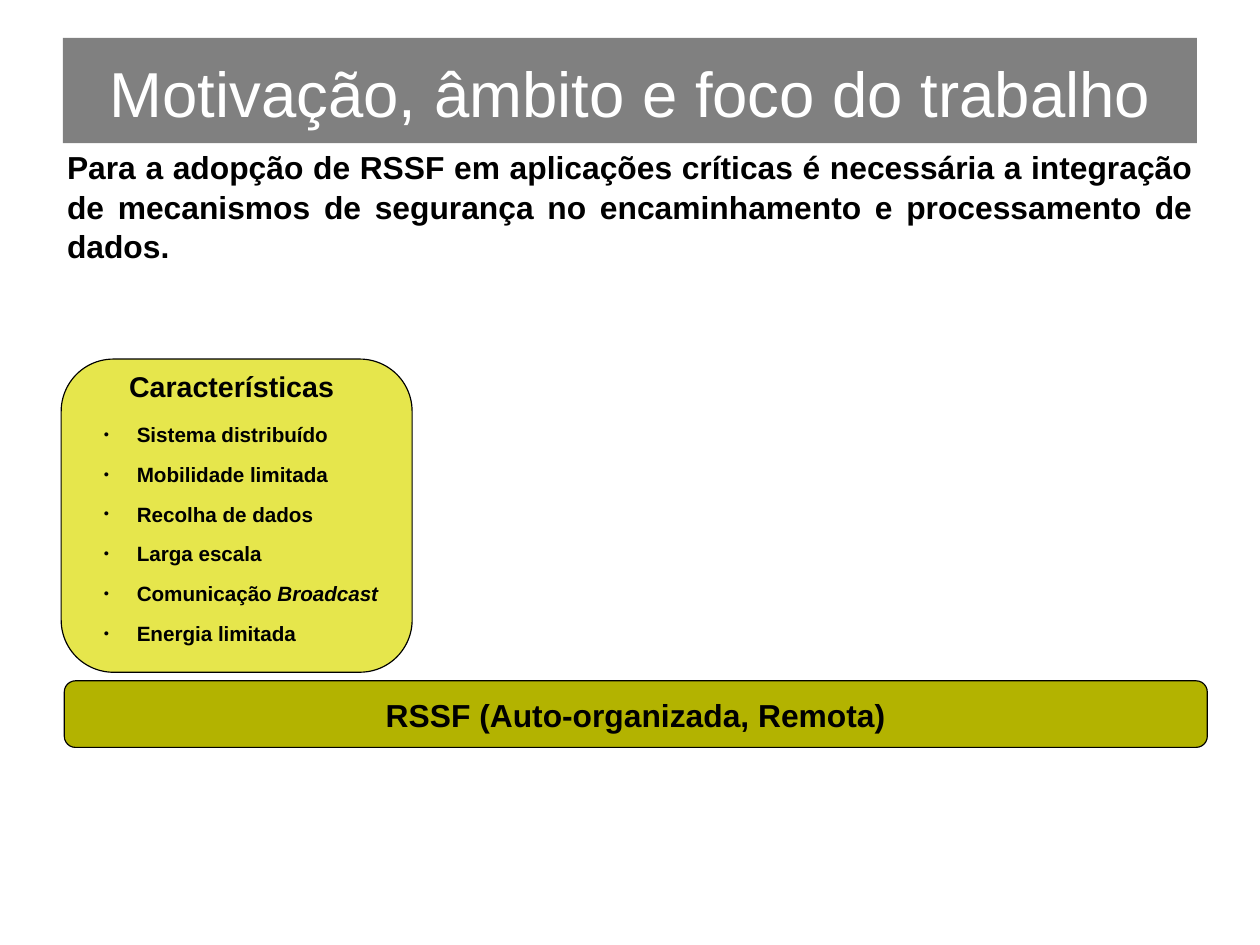
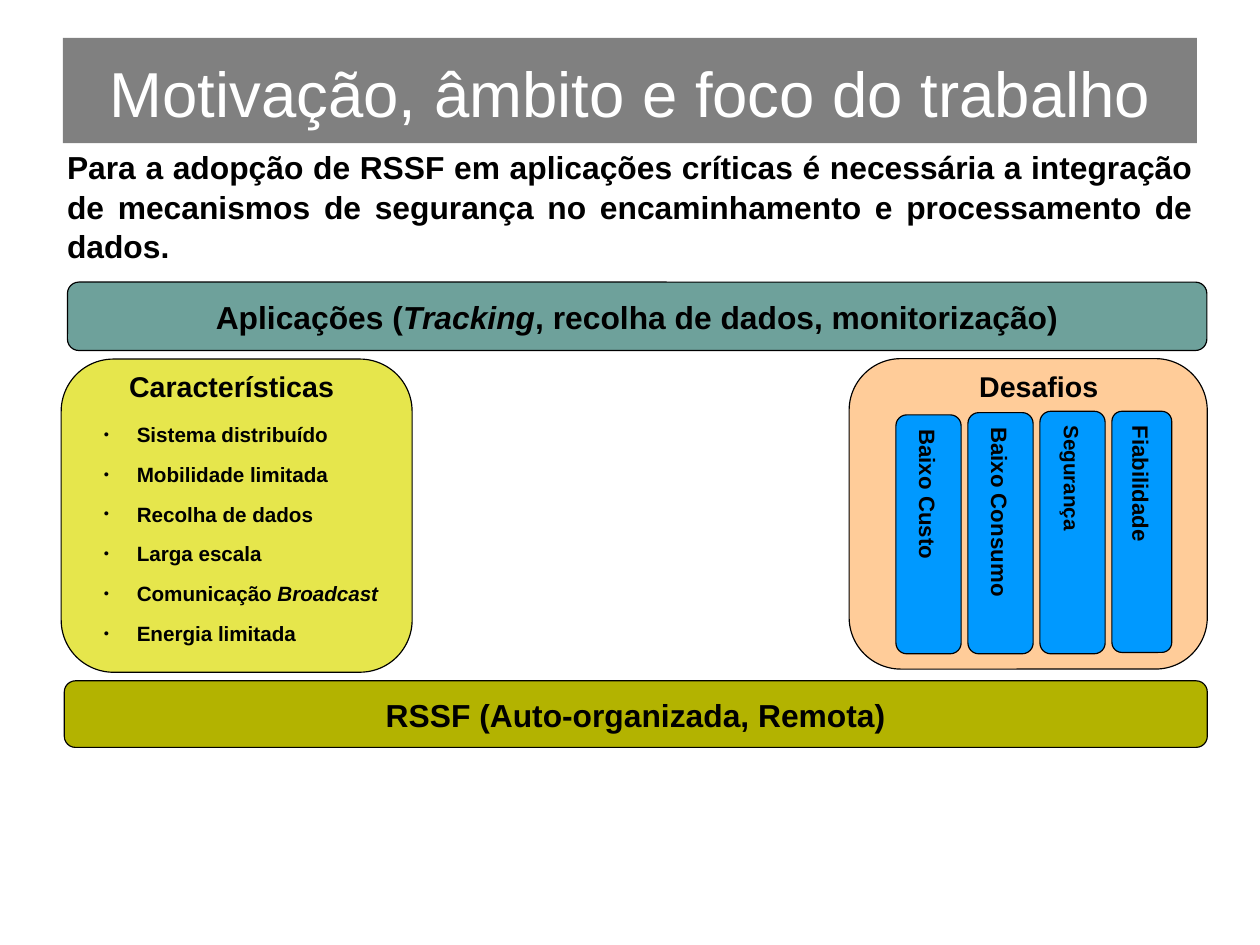
"""Build two slides on the motivation, scope and focus of the work."""
import dataclasses
import typing

import pptx
import pptx.dml.color
import pptx.enum.shapes
import pptx.enum.text
import pptx.oxml
import pptx.oxml.ns
import pptx.util

Cm = pptx.util.Cm
Pt = pptx.util.Pt
ALIGN = pptx.enum.text.PP_ALIGN
ANCHOR = pptx.enum.text.MSO_ANCHOR
SHAPE = pptx.enum.shapes.MSO_SHAPE

COLORS = {
    "band": "808080",
    "title": "FFFFFF",
    "ink": "000000",
    "network": "B3B300",
    "applications": "6EA19B",
    "features": "E6E64C",
    "challenges": "FFCC99",
    "pillar": "0099FF",
}
FONT = "Arial"
LINE_SPACING = 1.04
CORNER = 0.167
PILLAR_LEFT = 19.91
PILLAR_PITCH = 1.6


class Area(typing.NamedTuple):
    left: float
    top: float
    width: float
    height: float


class Span(typing.NamedTuple):
    text: str
    italic: bool = False


Line = tuple[Span, ...]


@dataclasses.dataclass(frozen=True)
class TextStyle:
    size: float
    bold: bool = True
    color: str = "ink"
    align: ALIGN = ALIGN.LEFT
    anchor: ANCHOR = ANCHOR.MIDDLE
    wrap: bool = False
    margins: tuple[float, float, float, float] = (0.25, 0.13, 0.25, 0.13)
    gap: float = 0


@dataclasses.dataclass(frozen=True)
class Panel:
    area: Area
    fill: str
    header: str
    header_area: Area


@dataclasses.dataclass(frozen=True)
class Pillar:
    label: str
    top: float
    width: float
    bottom: float = 14.53
    size: float = 14


TITLE_STYLE = TextStyle(40, bold=False, color="title", align=ALIGN.CENTER,
                        wrap=True, margins=(0, 0, 0, 0))
INTRO_STYLE = TextStyle(20, align=ALIGN.JUSTIFY, anchor=ANCHOR.TOP, wrap=True)
BAR_STYLE = TextStyle(20, align=ALIGN.CENTER)
HEADER_STYLE = TextStyle(18, anchor=ANCHOR.TOP)
LIST_STYLE = TextStyle(13, wrap=True, margins=(0.55, 0.13, 0, 0.13), gap=8.9)

TITLE_AREA = Area(1.4, 0.84, 25.2, 2.34)
INTRO_AREA = Area(1.24, 3.12, 25.53, 3)
NETWORK_AREA = Area(1.43, 15.13, 25.4, 1.48)
APPLICATIONS_AREA = Area(1.5, 6.27, 25.32, 1.52)
LIST_AREA = Area(1.75, 8.79, 6.81, 6.12)

TITLE = "Motivação, âmbito e foco do trabalho"
INTRO = ("Para a adopção de RSSF em aplicações críticas é necessária a integração "
         "de mecanismos de segurança no encaminhamento e processamento de dados.")
NETWORK: Line = (Span("RSSF (Auto-organizada, Remota)"),)
APPLICATIONS: Line = (
    Span("Aplicações ("),
    Span("Tracking", italic=True),
    Span(", recolha de dados, monitorização)"),
)
FEATURES: list[Line] = [
    (Span("Sistema distribuído"),),
    (Span("Mobilidade limitada"),),
    (Span("Recolha de dados"),),
    (Span("Larga escala"),),
    (Span("Comunicação "), Span("Broadcast", italic=True)),
    (Span("Energia limitada"),),
]
FEATURES_PANEL = Panel(Area(1.36, 7.98, 7.8, 6.96), "features",
                       "Características", Area(2.62, 8.03, 5.03, 1.04))
CHALLENGES_PANEL = Panel(Area(18.87, 7.97, 7.96, 6.9), "challenges",
                         "Desafios", Area(21.51, 8.03, 3.15, 1.04))
PILLARS = [
    Pillar("Baixo Custo", 9.22, 1.45),
    Pillar("Baixo Consumo", 9.17, 1.45),
    Pillar("Segurança", 9.14, 1.45, size=13),
    Pillar("Fiabilidade", 9.14, 1.33, bottom=14.5),
]


def rgb(name: str) -> pptx.dml.color.RGBColor:
    return pptx.dml.color.RGBColor.from_string(COLORS[name])


def apply(target: typing.Any, values: dict[str, typing.Any]) -> None:
    for name, value in values.items():
        setattr(target, name, value)


def place(box: typing.Any, area: Area) -> None:
    apply(box, {name: Cm(value) for name, value in area._asdict().items()})


def fill_box(box: typing.Any, color: str) -> None:
    box.fill.solid()
    box.fill.fore_color.rgb = rgb(color)


def write(box: typing.Any, lines: list[Line], style: TextStyle) -> None:
    frame = box.text_frame
    left, top, right, bottom = map(Cm, style.margins)
    apply(frame, {
        "auto_size": pptx.enum.text.MSO_AUTO_SIZE.NONE,
        "word_wrap": style.wrap,
        "vertical_anchor": style.anchor,
        "margin_left": left,
        "margin_top": top,
        "margin_right": right,
        "margin_bottom": bottom,
    })
    for index, line in enumerate(lines):
        para = frame.add_paragraph() if index else frame.paragraphs[0]
        apply(para, {
            "alignment": style.align,
            "line_spacing": LINE_SPACING,
            "space_before": Pt(style.gap if index else 0),
            "space_after": Pt(0),
        })
        for span in line:
            run = para.add_run()
            run.text = span.text
            apply(run.font, {"name": FONT, "size": Pt(style.size),
                             "bold": style.bold, "italic": span.italic})
            run.font.color.rgb = rgb(style.color)


def add_bullets(box: typing.Any) -> None:
    namespace = pptx.oxml.ns.nsdecls("a")
    for para in box.text_frame.paragraphs:
        properties = para._p.get_or_add_pPr()
        properties.set("marL", str(Cm(0.74)))
        properties.set("indent", str(-Cm(0.74)))
        for markup in (
            f'<a:buClr {namespace}><a:srgbClr val="{COLORS["ink"]}"/></a:buClr>',
            f'<a:buSzPct {namespace} val="45000"/>',
            f'<a:buFont {namespace} typeface="{FONT}"/>',
            f'<a:buChar {namespace} char="●"/>',
        ):
            properties.append(pptx.oxml.parse_xml(markup))


def add_rounded(page: typing.Any, area: Area, color: str) -> typing.Any:
    box = page.shapes.add_shape(SHAPE.ROUNDED_RECTANGLE, *map(Cm, area))
    box.adjustments[0] = CORNER
    box.shadow.inherit = False
    fill_box(box, color)
    box.line.color.rgb = rgb("ink")
    box.line.width = Pt(0.75)
    return box


def add_text(page: typing.Any, area: Area, text: str, style: TextStyle) -> None:
    box = page.shapes.add_textbox(*map(Cm, area))
    write(box, [(Span(text),)], style)


def add_bar(page: typing.Any, area: Area, color: str, line: Line) -> None:
    write(add_rounded(page, area, color), [line], BAR_STYLE)


def add_panel(page: typing.Any, panel: Panel) -> typing.Any:
    box = add_rounded(page, panel.area, panel.fill)
    add_text(page, panel.header_area, panel.header, HEADER_STYLE)
    return box


def add_features(page: typing.Any) -> None:
    panel = add_panel(page, FEATURES_PANEL)
    body = page.placeholders[1]
    place(body, LIST_AREA)
    write(body, FEATURES, LIST_STYLE)
    add_bullets(body)
    panel.element.addnext(body.element)


def add_challenges(page: typing.Any) -> None:
    add_panel(page, CHALLENGES_PANEL)
    for index, pillar in enumerate(PILLARS):
        area = Area(PILLAR_LEFT + index * PILLAR_PITCH, pillar.top,
                    pillar.width, pillar.bottom - pillar.top)
        box = add_rounded(page, area, "pillar")
        style = TextStyle(pillar.size, align=ALIGN.CENTER,
                          margins=(0.13, 0.25, 0.13, 0.25))
        write(box, [(Span(pillar.label),)], style)
        box.element.txBody.bodyPr.set("vert", "eaVert")


def add_page(deck: typing.Any) -> typing.Any:
    page = deck.slides.add_slide(deck.slide_layouts[1])
    title = page.shapes.title
    place(title, TITLE_AREA)
    fill_box(title, "band")
    write(title, [(Span(TITLE),)], TITLE_STYLE)
    add_text(page, INTRO_AREA, INTRO, INTRO_STYLE)
    add_bar(page, NETWORK_AREA, "network", NETWORK)
    add_features(page)
    return page


def main() -> None:
    deck = pptx.Presentation()
    apply(deck, {"slide_width": Cm(28), "slide_height": Cm(21)})
    add_page(deck)
    page = add_page(deck)
    add_bar(page, APPLICATIONS_AREA, "applications", APPLICATIONS)
    add_challenges(page)
    deck.save("out.pptx")


if __name__ == "__main__":
    main()
